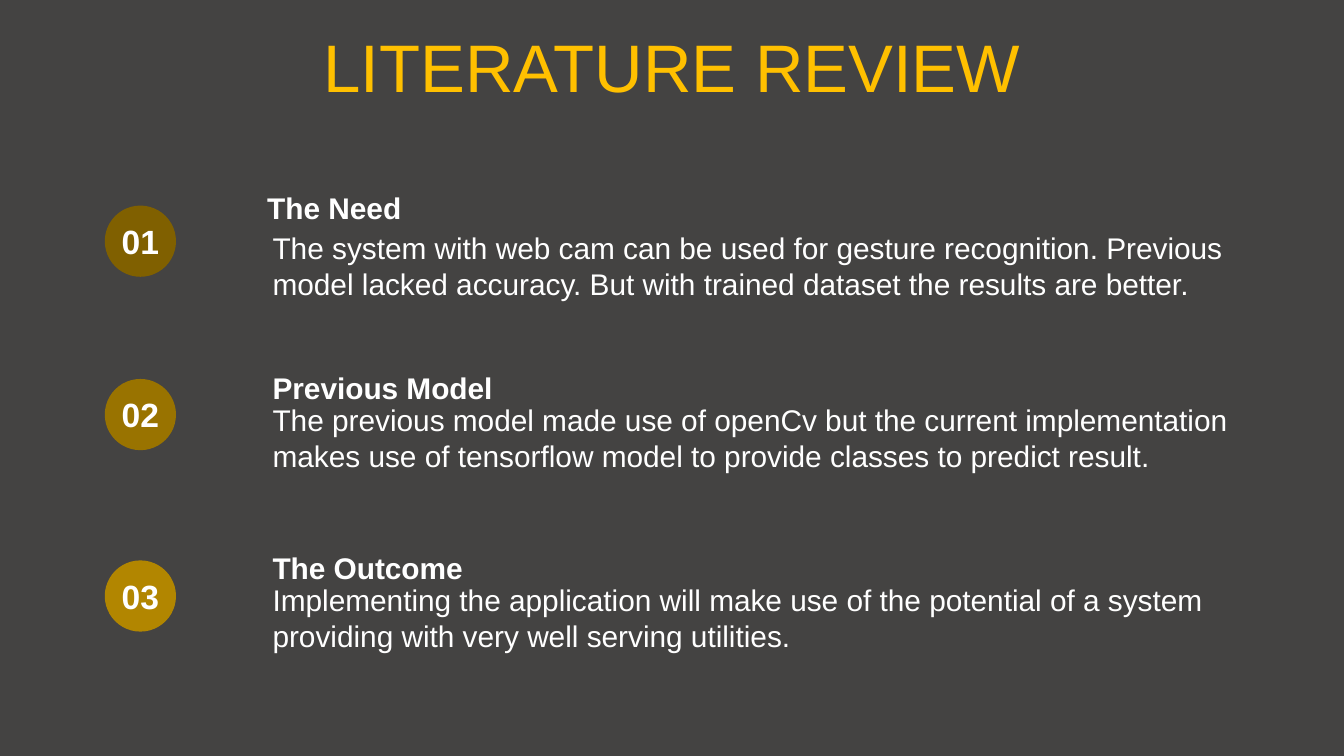
from dataclasses import dataclass

from pptx import Presentation
from pptx.dml.color import RGBColor
from pptx.enum.shapes import MSO_SHAPE
from pptx.enum.text import MSO_ANCHOR, PP_ALIGN
from pptx.util import Inches, Pt


@dataclass(frozen=True)
class Theme:
    font: str = "Arial"
    background: str = "444342"
    accent: str = "FFC000"
    text: str = "FFFFFF"
    title_size: int = 36
    number_size: int = 18
    body_size: int = 16


THEME = Theme()
TITLE = "LITERATURE REVIEW"

# Offsets are measured from the top of each row.
REVIEW_POINTS = [
    dict(number="01", heading="The Need", badge="806000",
         heading_left=1.89, badge_offset=0.17, body_offset=0.3,
         body="The system with web cam can be used for gesture recognition. "
              "Previous model lacked accuracy. But with trained dataset the "
              "results are better."),
    dict(number="02", heading="Previous Model", badge="997300",
         heading_left=1.93, badge_offset=0.12, body_offset=0.24,
         body="The previous model made use of openCv but the current "
              "implementation makes use of tensorflow model to provide "
              "classes to predict result."),
    dict(number="03", heading="The Outcome", badge="B28600",
         heading_left=1.93, badge_offset=0.13, body_offset=0.24,
         body="Implementing the application will make use of the potential "
              "of a system providing with very well serving utilities."),
]

SLIDE_WIDTH = 10
SLIDE_HEIGHT = SLIDE_WIDTH * 9 / 16
FIRST_ROW, ROW_PITCH = 1.36, 1.34
BODY_LEFT, TEXT_WIDTH = 1.93, 7.8
BADGE_LEFT, BADGE_SIZE = 0.78, 0.53
NUMBER_WIDTH, NUMBER_HEIGHT = 0.6, 0.4


def color(value):
    return RGBColor.from_string(value)


def write(shape, text, size, ink=THEME.text, bold=False, align=PP_ALIGN.LEFT):
    frame = shape.text_frame
    frame.word_wrap = True
    para = frame.paragraphs[0]
    para.alignment = align
    para.space_before = Pt(0)
    span = para.add_run()
    span.text = text
    span.font.name = THEME.font
    span.font.size = Pt(size)
    span.font.bold = bold
    span.font.color.rgb = color(ink)


def add_text(page, left, top, width, height, text, size, **style):
    box = page.shapes.add_textbox(*map(Inches, (left, top, width, height)))
    write(box, text, size, **style)


def add_title(page):
    title = page.shapes.title
    title.left, title.top = Inches(0), Inches(0.17)
    title.width, title.height = Inches(SLIDE_WIDTH), Inches(0.63)
    title.text_frame.vertical_anchor = MSO_ANCHOR.MIDDLE
    write(title, TITLE, THEME.title_size, ink=THEME.accent,
          align=PP_ALIGN.CENTER)


def add_badge(page, top, number, fill):
    circle = page.shapes.add_shape(
        MSO_SHAPE.OVAL,
        *map(Inches, (BADGE_LEFT, top, BADGE_SIZE, BADGE_SIZE)))
    circle.shadow.inherit = False
    circle.fill.solid()
    circle.fill.fore_color.rgb = color(fill)
    circle.line.fill.background()
    add_text(page, BADGE_LEFT + (BADGE_SIZE - NUMBER_WIDTH) / 2,
             top + (BADGE_SIZE - NUMBER_HEIGHT) / 2,
             NUMBER_WIDTH, NUMBER_HEIGHT, number, THEME.number_size,
             bold=True, align=PP_ALIGN.CENTER)


def main():
    deck = Presentation()
    deck.slide_width = Inches(SLIDE_WIDTH)
    deck.slide_height = Inches(SLIDE_HEIGHT)
    page = deck.slides.add_slide(deck.slide_layouts.get_by_name("Title Only"))
    page.background.fill.solid()
    page.background.fill.fore_color.rgb = color(THEME.background)

    add_title(page)
    for row, point in enumerate(REVIEW_POINTS):
        top = FIRST_ROW + row * ROW_PITCH
        add_badge(page, top + point["badge_offset"], point["number"],
                  point["badge"])
        add_text(page, point["heading_left"], top, TEXT_WIDTH, 0.37,
                 point["heading"], THEME.body_size, bold=True)
        add_text(page, BODY_LEFT, top + point["body_offset"], TEXT_WIDTH, 0.64,
                 point["body"], THEME.body_size)
    deck.save("out.pptx")


if __name__ == "__main__":
    main()
